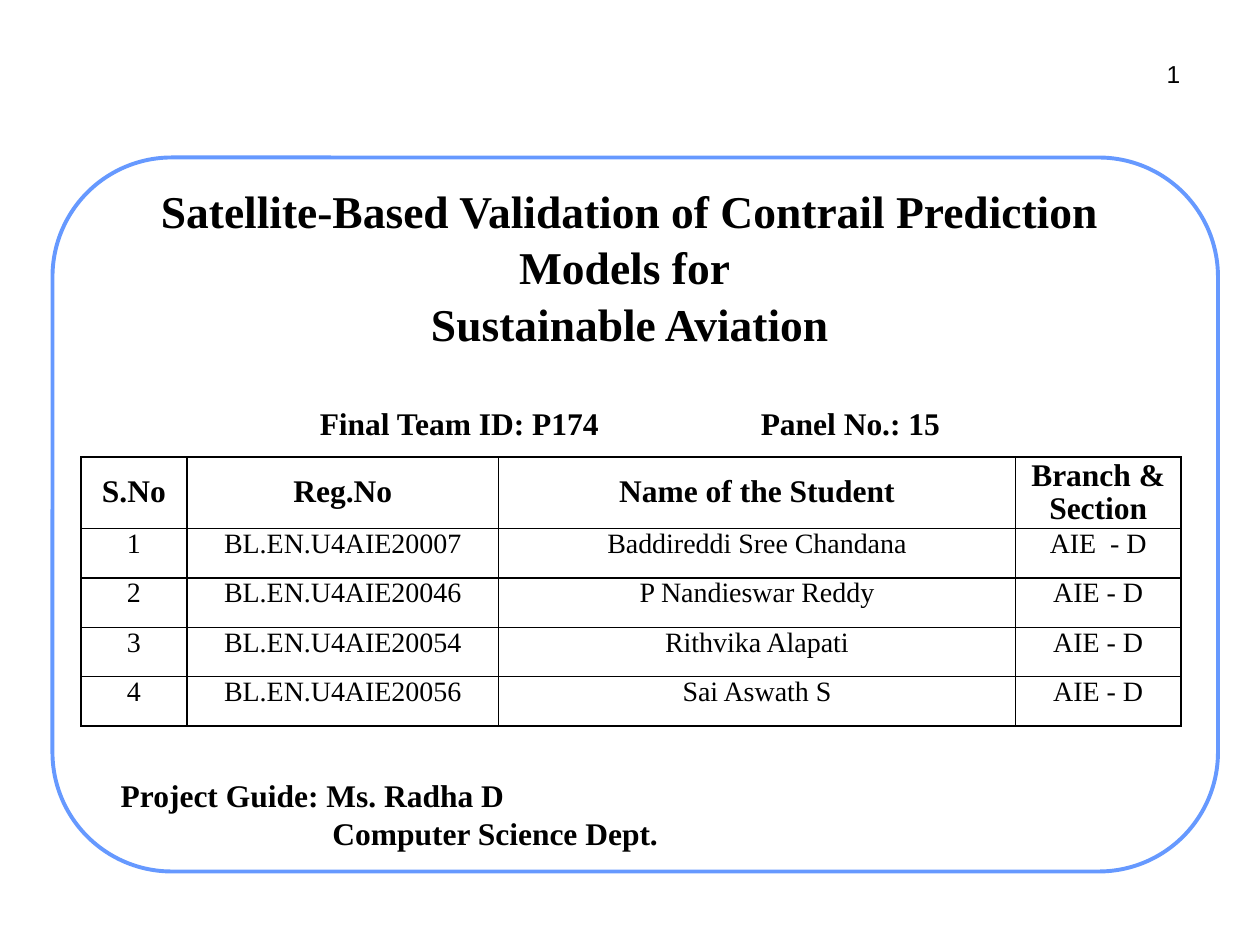
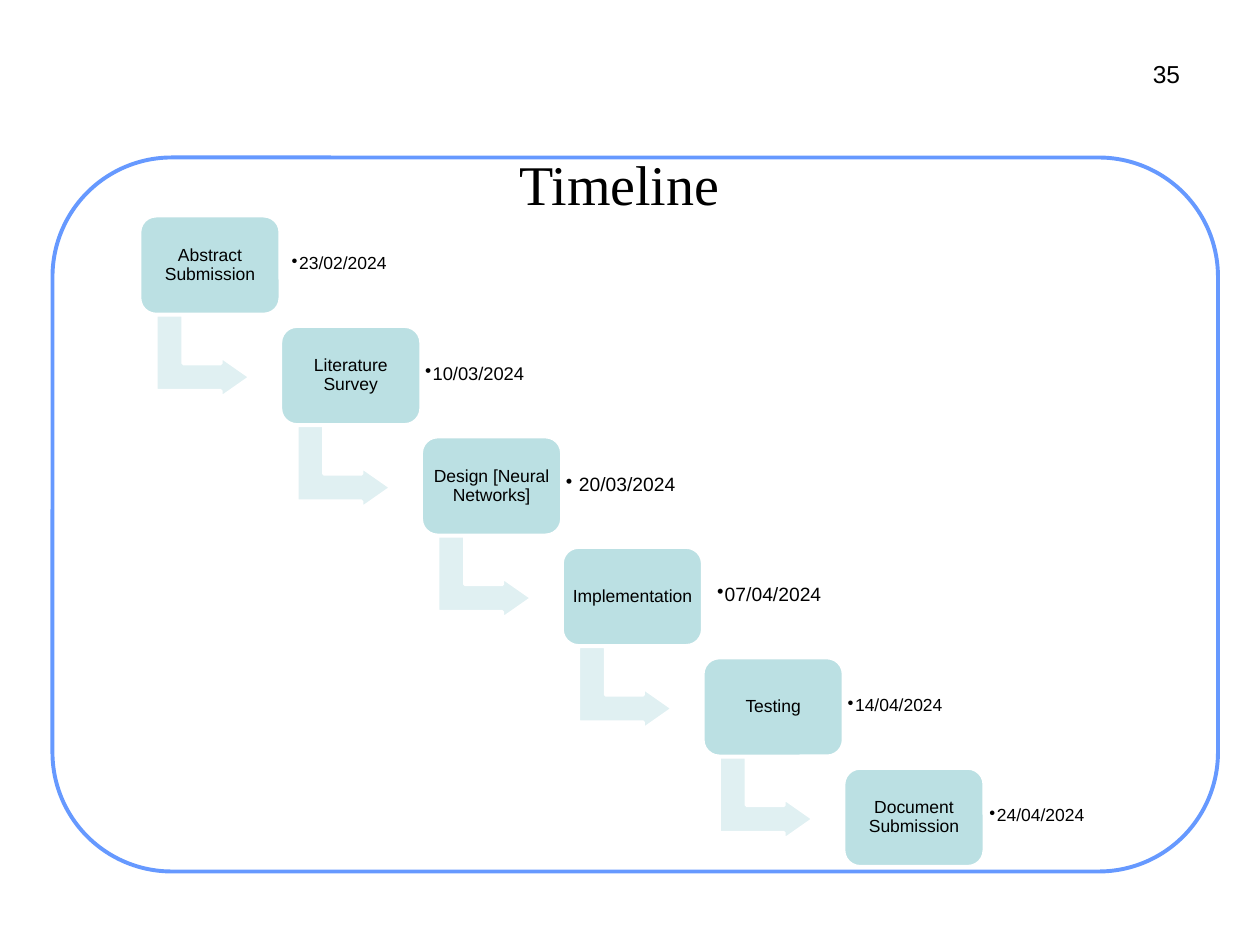
from pptx import Presentation, util as u
from pptx.dml.color import RGBColor
from pptx.enum import shapes, text
from pptx.oxml import parse_xml, ns, xmlchemy

COLORS = {"ink": "000000", "paper": "FFFFFF", "frame": "6699FF",
          "card": "BBE0E3", "arrow": "E0F0F2"}
SERIF, SANS = "Times New Roman", "Arial"
COLS, ROWS = 120, 90
WIDTH, HEIGHT = u.Inches(10), u.Inches(7.5)
LEFT, CENTER, RIGHT = text.PP_ALIGN.LEFT, text.PP_ALIGN.CENTER, text.PP_ALIGN.RIGHT
TOP, MIDDLE = text.MSO_ANCHOR.TOP, text.MSO_ANCHOR.MIDDLE

FIRST_CARD = (13.3, 20.55)
STEP = (13.41, 10.52)
CARD = (13.4, 9.4)
ARROW = (7.9, 9)
DATE_HEIGHT = 7.5

STUDENTS = [
    ("S.No", "Reg.No", "Name of the Student", "Branch & Section"),
    ("1", "BL.EN.U4AIE20007", "Baddireddi Sree Chandana", "AIE  - D"),
    ("2", "BL.EN.U4AIE20046", "P Nandieswar Reddy", "AIE - D"),
    ("3", "BL.EN.U4AIE20054", "Rithvika Alapati", "AIE - D"),
    ("4", "BL.EN.U4AIE20056", "Sai Aswath S", "AIE - D"),
]

# label, date, date size, gap after the card, date width
MILESTONES = [
    ("Abstract Submission", "23/02/2024", 10, 0.6, 19.4),
    ("Literature Survey", "10/03/2024", 10.5, -0.1, 23.9),
    ("Design [Neural Networks]", " 20/03/2024", 11, -0.1, 21.7),
    ("Implementation", "07/04/2024", 11, 0.9, 21.1),
    ("Testing", "14/04/2024", 10, -0.1, 20.5),
    ("Document Submission", "24/04/2024", 10, 0, 14.4),
]


def rgb(name):
    return RGBColor.from_string(COLORS[name])


def across(cols):
    return int(WIDTH * cols / COLS)


def down(rows):
    return int(HEIGHT * rows / ROWS)


def box(col, row, cols, rows):
    return across(col), down(row), across(cols), down(rows)


def set_frame(tf, inset, anchor, wrap=True):
    tf.word_wrap = wrap
    tf.vertical_anchor = anchor
    tf.margin_left = tf.margin_right = u.Inches(inset)
    tf.margin_top = tf.margin_bottom = u.Inches(inset)


def write(p, words, size, font=SERIF, bold=False, align=LEFT, spacing=None):
    p.alignment = align
    if spacing:
        p.line_spacing = spacing
    r = p.add_run()
    r.text = words
    r.font.size = u.Pt(size)
    r.font.name = font
    r.font.bold = bold
    r.font.color.rgb = rgb("ink")


def add_text(s, place, inset=0.05, anchor=TOP, wrap=True):
    tf = s.shapes.add_textbox(*box(*place)).text_frame
    set_frame(tf, inset, anchor, wrap)
    return tf


def add_block(s, kind, place, fill, line, width, adjustments):
    sp = s.shapes.add_shape(kind, *box(*place))
    sp.shadow.inherit = False
    sp.fill.solid()
    sp.fill.fore_color.rgb = rgb(fill)
    sp.line.color.rgb = rgb(line)
    sp.line.width = u.Pt(width)
    for i, value in enumerate(adjustments):
        sp.adjustments[i] = value
    return sp


def indent(p, left, first=0):
    pPr = p._p.get_or_add_pPr()
    pPr.set("marL", str(u.Inches(left)))
    pPr.set("indent", str(u.Inches(first)))
    return pPr


def add_bullet(p):
    pPr = indent(p, 0.06, -0.06)
    pPr.append(parse_xml(f'<a:buChar {ns.nsdecls("a")} char="•"/>'))


def border(cell):
    tcPr = cell._tc.get_or_add_tcPr()
    for i, side in enumerate(("lnL", "lnR", "lnT", "lnB")):
        tcPr.insert(i, parse_xml(
            f'<a:{side} {ns.nsdecls("a")} w="{u.Pt(1)}"><a:solidFill>'
            f'<a:srgbClr val="{COLORS["ink"]}"/></a:solidFill></a:{side}>'))


def add_slide(prs, number):
    s = prs.slides.add_slide(prs.slide_layouts[6])
    add_block(s, shapes.MSO_SHAPE.ROUNDED_RECTANGLE, (5, 15, 111, 68),
              "paper", "frame", 2.25, [0.167])
    width = 1.3 + 1.33 * len(number)
    tf = add_text(s, (113 - width, 5, width, 3.8), wrap=False)
    write(tf.paragraphs[0], number, 14, SANS, align=RIGHT)
    return s


def add_table(s, rows, place, col_widths, row_heights):
    frame = s.shapes.add_table(len(rows), len(rows[0]), *box(*place))
    table = frame.table
    for column, width in zip(table.columns, col_widths):
        column.width = across(width)
    for i, (row, height, values) in enumerate(zip(table.rows, row_heights, rows)):
        row.height = down(height)
        header = i == 0
        for cell, value in zip(row.cells, values):
            cell.fill.background()
            cell.margin_left = cell.margin_right = 0
            cell.margin_top = cell.margin_bottom = 0
            cell.vertical_anchor = MIDDLE if header else TOP
            write(cell.text_frame.paragraphs[0], value, 18 if header else 16,
                  bold=header, align=CENTER, spacing=0.95 if header else None)
            border(cell)


def add_milestone(s, index, label, date, size, gap, date_width):
    col, row = (start + index * step for start, step in zip(FIRST_CARD, STEP))
    if index < len(MILESTONES) - 1:
        arrow = add_block(s, shapes.MSO_SHAPE.BENT_UP_ARROW,
                          (col + 2.1, row + 8.9, *ARROW),
                          "arrow", "paper", 2, [0.328, 0.25, 0.358])
        arrow.rotation = 90
    card = add_block(s, shapes.MSO_SHAPE.ROUNDED_RECTANGLE, (col, row, *CARD),
                     "card", "paper", 2, [0.167])
    set_frame(card.text_frame, 0.04, MIDDLE)
    write(card.text_frame.paragraphs[0], label, 10, SANS, align=CENTER, spacing=0.9)

    place = (col + CARD[0] + gap, row + 0.85, date_width, DATE_HEIGHT)
    p = add_text(s, place, 0.04, MIDDLE).paragraphs[0]
    write(p, date, size, SANS, spacing=0.9)
    add_bullet(p)


def build_cover(prs):
    s = add_slide(prs, "1")
    tf = add_text(s, (9.5, 17.2, 101, 25), anchor=MIDDLE)
    write(tf.paragraphs[0],
          "Satellite-Based Validation of Contrail Prediction Models for ",
          26, bold=True, align=CENTER, spacing=1.03)
    write(tf.add_paragraph(), "Sustainable Aviation", 26, bold=True,
          align=CENTER, spacing=1.03)
    p = tf.add_paragraph()
    p.space_before = u.Pt(31)
    write(p, "Final Team ID: P174\t\t\tPanel No.: 15", 18, bold=True, align=CENTER)

    add_table(s, STUDENTS, (7.7, 43.5, 104.8, 25.4),
              (10.1, 29.7, 49.2, 15.8), (6.6, 4.7, 4.7, 4.7, 4.7))

    tf = add_text(s, (10.9, 73.3, 63.2, 8.5))
    write(tf.paragraphs[0], "Project Guide: Ms. Radha D", 18, bold=True)
    p = tf.add_paragraph()
    write(p, "Computer Science Dept.", 18, bold=True)
    indent(p, 1.68)


def build_timeline(prs):
    s = add_slide(prs, "35")
    tf = add_text(s, (5, 12.6, 108, 9.7), anchor=MIDDLE)
    write(tf.paragraphs[0], "Timeline", 32, align=CENTER)
    for index, milestone in enumerate(MILESTONES):
        add_milestone(s, index, *milestone)


def main():
    prs = Presentation()
    prs.slide_width, prs.slide_height = WIDTH, HEIGHT
    build_cover(prs)
    build_timeline(prs)
    prs.save("out.pptx")


if __name__ == "__main__":
    main()
